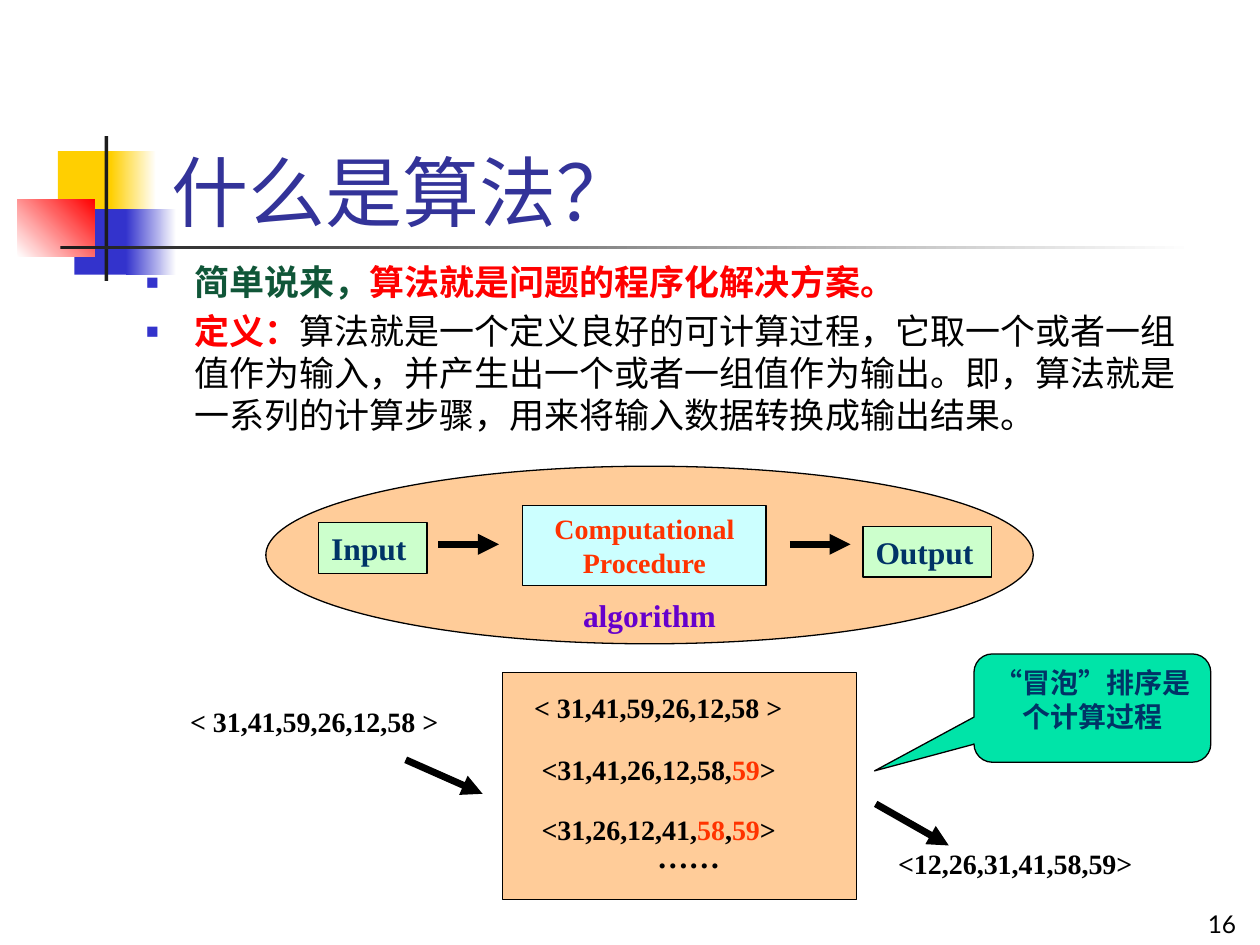
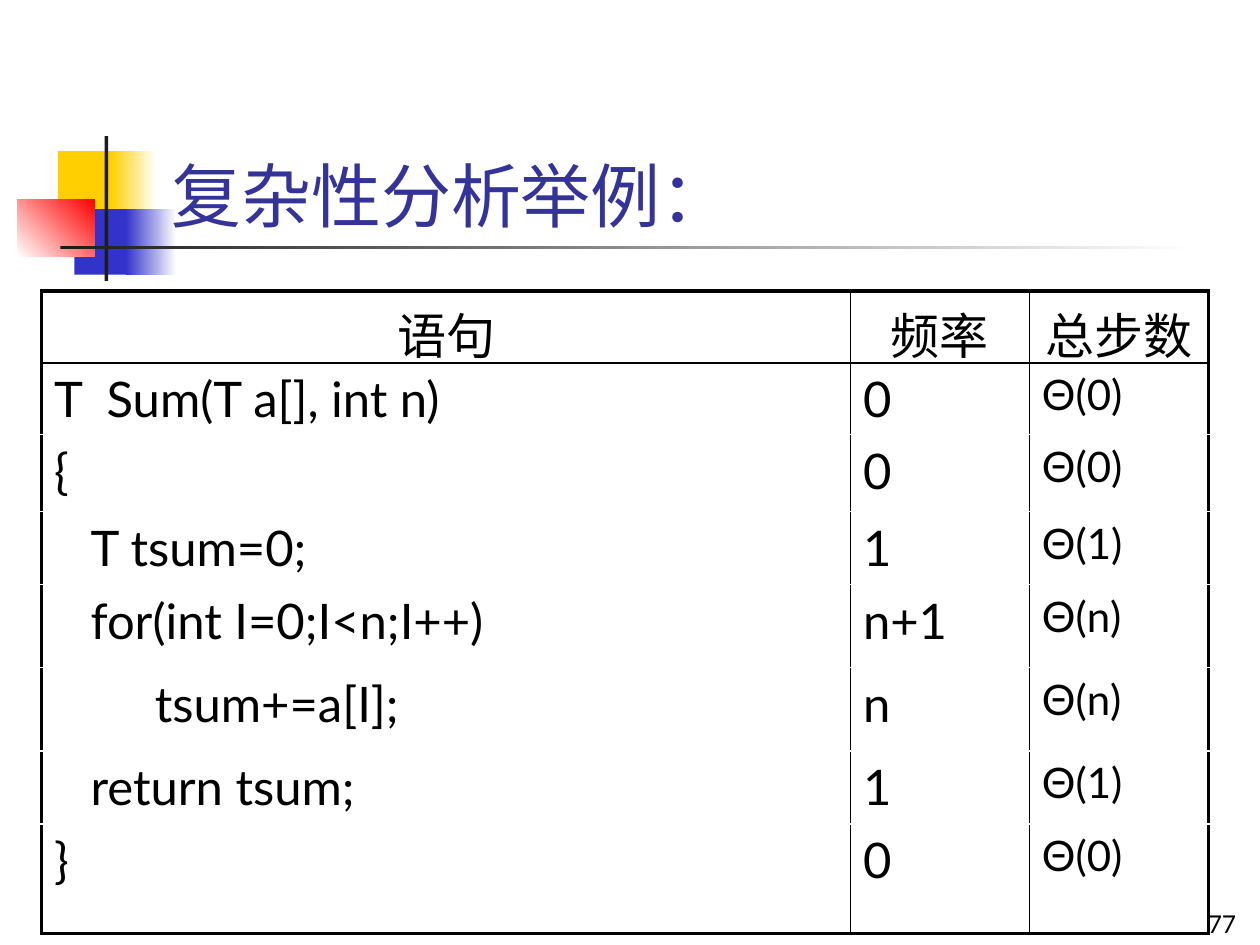
from dataclasses import dataclass

from lxml import etree
from pptx import Presentation
from pptx.dml.color import RGBColor
from pptx.enum.shapes import MSO_CONNECTOR, MSO_SHAPE
from pptx.enum.text import MSO_ANCHOR, MSO_AUTO_SIZE, PP_ALIGN
from pptx.oxml.ns import qn
from pptx.util import Inches, Pt

RECT, ELLIPSE = MSO_SHAPE.RECTANGLE, MSO_SHAPE.OVAL
CALLOUT = MSO_SHAPE.ROUNDED_RECTANGULAR_CALLOUT
STRAIGHT = MSO_CONNECTOR.STRAIGHT
LEFT, CENTER, RIGHT = PP_ALIGN.LEFT, PP_ALIGN.CENTER, PP_ALIGN.RIGHT
TOP, MIDDLE, BOTTOM = MSO_ANCHOR.TOP, MSO_ANCHOR.MIDDLE, MSO_ANCHOR.BOTTOM
NO_FIT = MSO_AUTO_SIZE.NONE


@dataclass(frozen=True)
class Theme:
    # Fonts
    sans: str = "Lato"
    cjk: str = "Noto Sans CJK SC"
    serif: str = "Times New Roman"
    # Colours
    black: str = "000000"
    white: str = "FFFFFF"
    title: str = "333399"
    yellow: str = "FFCF01"
    blue: str = "3333CC"
    red: str = "FF0000"
    rule: str = "1C1C1C"
    green: str = "105638"
    navy: str = "003366"
    purple: str = "6600CC"
    orange: str = "FF3300"
    peach: str = "FFCC99"
    mint: str = "CCFFCC"
    aqua: str = "CCFFFF"
    callout: str = "00E4A8"
    # Type sizes
    body_size: int = 20
    label_size: int = 18
    data_size: int = 16
    number_size: int = 14
    code_size: int = 28
    cost_size: int = 24


THEME = Theme()


def rgb(color):
    return RGBColor.from_string(color)


def inches(values):
    return [Inches(value) for value in values]


# ---- Text ----

def write(para, text, size, font, color=THEME.black, bold=False, align=LEFT,
          before=0):
    """Fill a paragraph with a string or with (text, colour) spans."""
    para.alignment = align
    para.space_before = Pt(before)
    para.font.size, para.font.name, para.font.bold = Pt(size), font, bold
    if isinstance(text, str):
        para.font.color.rgb = rgb(color)
        para.add_run().text = text
    else:
        for words, span_color in text:
            span = para.add_run()
            span.text = words
            span.font.color.rgb = rgb(span_color)
    latin = para._p.pPr.find(qn("a:defRPr")).find(qn("a:latin"))
    east_asian = etree.Element(qn("a:ea"), typeface=THEME.cjk)
    latin.addnext(east_asian)


def add_square_bullet(para):
    props = para._p.pPr
    props.set("marL", str(Inches(0.38)))
    props.set("indent", str(-Inches(0.38)))
    defaults = props.find(qn("a:defRPr"))
    bullet_color = etree.Element(qn("a:buClr"))
    etree.SubElement(bullet_color, qn("a:srgbClr"), val=THEME.blue)
    for part in (bullet_color,
                 etree.Element(qn("a:buSzPct"), val="60000"),
                 etree.Element(qn("a:buChar"), char="■")):
        defaults.addprevious(part)


def place(shape, at):
    shape.left, shape.top, shape.width, shape.height = inches(at)
    shape.text_frame.auto_size = NO_FIT


def add_title(page, text, size):
    title = page.shapes.title
    place(title, (1.26, 0.68, 8.52, 1.25))
    title.text_frame.vertical_anchor = BOTTOM
    write(title.text_frame.paragraphs[0], text, size, THEME.sans, THEME.title)


def add_text(shapes, at, text, size=THEME.data_size, font=THEME.serif,
             bold=True, align=LEFT, anchor=TOP):
    box = shapes.add_textbox(*inches(at))
    box.text_frame.word_wrap = True
    box.text_frame.vertical_anchor = anchor
    write(box.text_frame.paragraphs[0], text, size, font, bold=bold, align=align)


def add_page_number(page, number):
    add_text(page.shapes, (7.83, 7, 2.08, 0.5), number, THEME.number_size,
             THEME.sans, bold=False, align=RIGHT, anchor=BOTTOM)


# ---- Shapes ----

def add_box(shapes, kind, at, fill, outline=THEME.black):
    box = shapes.add_shape(kind, *inches(at))
    box.shadow.inherit = False
    box.fill.solid()
    box.fill.fore_color.rgb = rgb(fill)
    if outline:
        box.line.color.rgb = rgb(outline)
        box.line.width = Pt(0.75)
    else:
        box.line.fill.background()
    return box


def label(box, text, size, color, anchor=MIDDLE, align=CENTER):
    frame = box.text_frame
    frame.word_wrap = True
    frame.vertical_anchor = anchor
    write(frame.paragraphs[0], text, size, THEME.serif, color, True, align)


def add_arrow(shapes, start, end):
    arrow = shapes.add_connector(STRAIGHT, *inches(start + end))
    arrow.line.color.rgb = rgb(THEME.black)
    arrow.line.width = Pt(4)
    line = arrow.line._get_or_add_ln()
    etree.SubElement(line, qn("a:tailEnd"), type="triangle")
    etree.SubElement(arrow.element.spPr, qn("a:effectLst"))


def add_master_decoration(deck, page):
    """Draw the coloured blocks and rules, then hand them to the master."""
    blocks = [
        ((0.46, 1.2, 0.48, 0.52), (THEME.yellow,), 0),
        ((0.88, 1.2, 0.36, 0.52), (THEME.yellow, THEME.white), 0),
        ((0.59, 1.66, 0.46, 0.52), (THEME.blue,), 0),
        ((1, 1.66, 0.4, 0.52), (THEME.blue, THEME.white), 0),
        ((0.14, 1.58, 0.61, 0.46), (THEME.white, THEME.red), 45),
        ((0.83, 1.08, 0.03, 1.15), (THEME.rule,), 0),
        ((0.48, 1.95, 9, 0.03), (THEME.rule, THEME.white), 0),
    ]
    master_tree = deck.slide_master.shapes.element
    for at, colors, angle in blocks:
        block = add_box(page.shapes, RECT, at, colors[0], outline=None)
        if len(colors) == 2:
            block.fill.gradient()
            block.fill.gradient_angle = angle
            for stop, color, position in zip(block.fill.gradient_stops, colors, (0, 1)):
                stop.color.rgb = rgb(color)
                stop.position = position
        master_tree.append(block.element)


# ---- Table ----

def set_borders(cell, **edges):
    props = cell._tc.get_or_add_tcPr()
    for side in "LRTB":
        color, width = edges[side]
        line = etree.SubElement(props, qn("a:ln" + side), w=str(Pt(width)))
        fill = etree.SubElement(line, qn("a:solidFill"))
        etree.SubElement(fill, qn("a:srgbClr"), val=color)


def add_step_table(page, header, steps):
    """Steps are (indent, statement, frequency, cost)."""
    heights = [0.57, 0.57, 0.61, 0.58, 0.66, 0.66, 0.58, 0.87]
    widths = [6.42, 1.42, 1.42]
    outer, inner, hidden = (THEME.black, 2.25), (THEME.black, 1), (THEME.white, 1)
    frame = page.shapes.add_table(len(heights), len(widths), *inches(
        (0.33, 2.31, sum(widths), sum(heights))))
    table = frame.table
    table.first_row = table.horz_banding = False
    for column, width in zip(table.columns, widths):
        column.width = Inches(width)
    for row, height in zip(table.rows, heights):
        row.height = Inches(height)

    last_row, last_column = len(heights) - 1, len(widths) - 1
    for r, (indent, *texts) in enumerate([(0, *header), *steps]):
        for c, text in enumerate(texts):
            cell = table.cell(r, c)
            is_cost = r > 0 and c == last_column
            size = THEME.cost_size if is_cost else THEME.code_size
            write(cell.text_frame.paragraphs[0], text, size, THEME.sans,
                  align=LEFT if r else CENTER, before=0.2 * size)
            if c == 0:
                cell.margin_left = Inches(0.1 + indent)
            set_borders(
                cell,
                L=inner if c else outer,
                R=outer if c == last_column else inner,
                T=outer if r == 0 else inner if r == 1 else hidden,
                B=outer if r == last_row else hidden if r else inner)
            cell.fill.background()


# ---- Slides ----

def add_algorithm_diagram(page):
    shapes = page.shapes.add_group_shape().shapes
    oval = add_box(shapes, ELLIPSE, (2.11, 3.7, 6.09, 1.41), THEME.peach)
    label(oval, "algorithm", THEME.label_size, THEME.purple, TOP)
    oval.text_frame.margin_top = Inches(0.82)
    stages = [
        ((2.53, 4.15, 0.86, 0.4), "Input", THEME.label_size, THEME.mint, THEME.navy, LEFT),
        ((4.15, 4.01, 1.93, 0.64), "Computational Procedure", THEME.data_size,
         THEME.aqua, THEME.orange, CENTER),
        ((6.85, 4.18, 1.02, 0.4), "Output", THEME.label_size, THEME.mint, THEME.navy, LEFT),
    ]
    for at, text, size, fill, color, align in stages:
        label(add_box(shapes, RECT, at, fill), text, size, color, align=align)
    for x in (3.48, 6.27):
        add_arrow(shapes, (x, 4.32), (x + 0.48, 4.32))


def add_sorting_example(page):
    shapes = page.shapes.add_group_shape().shapes
    plain, sorted_color = THEME.black, THEME.orange
    add_box(shapes, RECT, (3.99, 5.34, 2.81, 1.8), THEME.peach)
    unsorted = "< 31,41,59,26,12,58 >"
    first_pass = [("<31,41,26,12,58,", plain), ("59", sorted_color), (">", plain)]
    second_pass = [("<31,26,12,41,", plain), ("58", sorted_color), (",", plain),
                   ("59", sorted_color), (">", plain)]
    for left, top, width, text in [
            (1.41, 5.54, 2.51, unsorted),
            (4.14, 5.43, 2.66, unsorted),
            (4.2, 5.92, 2.53, first_pass),
            (4.2, 6.4, 2.53, second_pass),
            (7.03, 6.67, 2.53, "<12,26,31,41,58,59>")]:
        add_text(shapes, (left, top, width, 0.38), text)
    add_text(shapes, (4.2, 6.59, 2.53, 0.38), "……", THEME.label_size, align=CENTER)
    add_arrow(shapes, (6.95, 6.38), (7.53, 6.71))
    add_arrow(shapes, (3.22, 6.03), (3.83, 6.3))


def build_definition_page(page):
    add_title(page, "什么是算法？", 44)
    body = page.placeholders[1]
    place(body, (1.06, 2.02, 8.5, 5.42))
    points = [
        (True, [("简单说来，", THEME.green),
                ("算法就是问题的程序化解决方案。", THEME.red)]),
        (False, [("定义：", THEME.red),
                 ("算法就是一个定义良好的可计算过程，它取一个或者一组值作为输入，"
                  "并产生出一个或者一组值作为输出。即，算法就是一系列的计算步骤，"
                  "用来将输入数据转换成输出结果。", THEME.black)]),
    ]
    frame = body.text_frame
    for i, (bold, spans) in enumerate(points):
        para = frame.add_paragraph() if i else frame.paragraphs[0]
        write(para, spans, THEME.body_size, THEME.cjk, bold=bold, before=4)
        add_square_bullet(para)
    frame.paragraphs[1].runs[0].font.bold = True

    add_algorithm_diagram(page)
    add_sorting_example(page)
    callout = add_box(page.shapes, CALLOUT, (7.73, 5.19, 1.88, 0.86), THEME.callout)
    for i, value in enumerate((-0.92, 0.58, 0.17)):
        callout.adjustments[i] = value
    label(callout, "“冒泡”排序是个计算过程", THEME.data_size, THEME.navy, TOP)
    add_page_number(page, "16")


def build_complexity_page(page):
    add_title(page, "复杂性分析举例：", 40)
    add_page_number(page, "77")
    add_step_table(page, ("语句", "频率", "总步数"), [
        (0, "T  Sum(T a[], int n)", "0", "Θ(0)"),
        (0, "{", "0", "Θ(0)"),
        (0.29, "T tsum=0;", "1", "Θ(1)"),
        (0.29, "for(int I=0;I<n;I++)", "n+1", "Θ(n)"),
        (0.8, "tsum+=a[I];", "n", "Θ(n)"),
        (0.29, "return tsum;", "1", "Θ(1)"),
        (0, "}", "0", "Θ(0)"),
    ])


def main():
    deck = Presentation()
    deck.slide_width, deck.slide_height = Inches(10), Inches(7.5)
    definition = deck.slides.add_slide(deck.slide_layouts[1])
    complexity = deck.slides.add_slide(deck.slide_layouts[5])
    add_master_decoration(deck, definition)
    build_definition_page(definition)
    build_complexity_page(complexity)
    deck.save("out.pptx")


if __name__ == "__main__":
    main()
